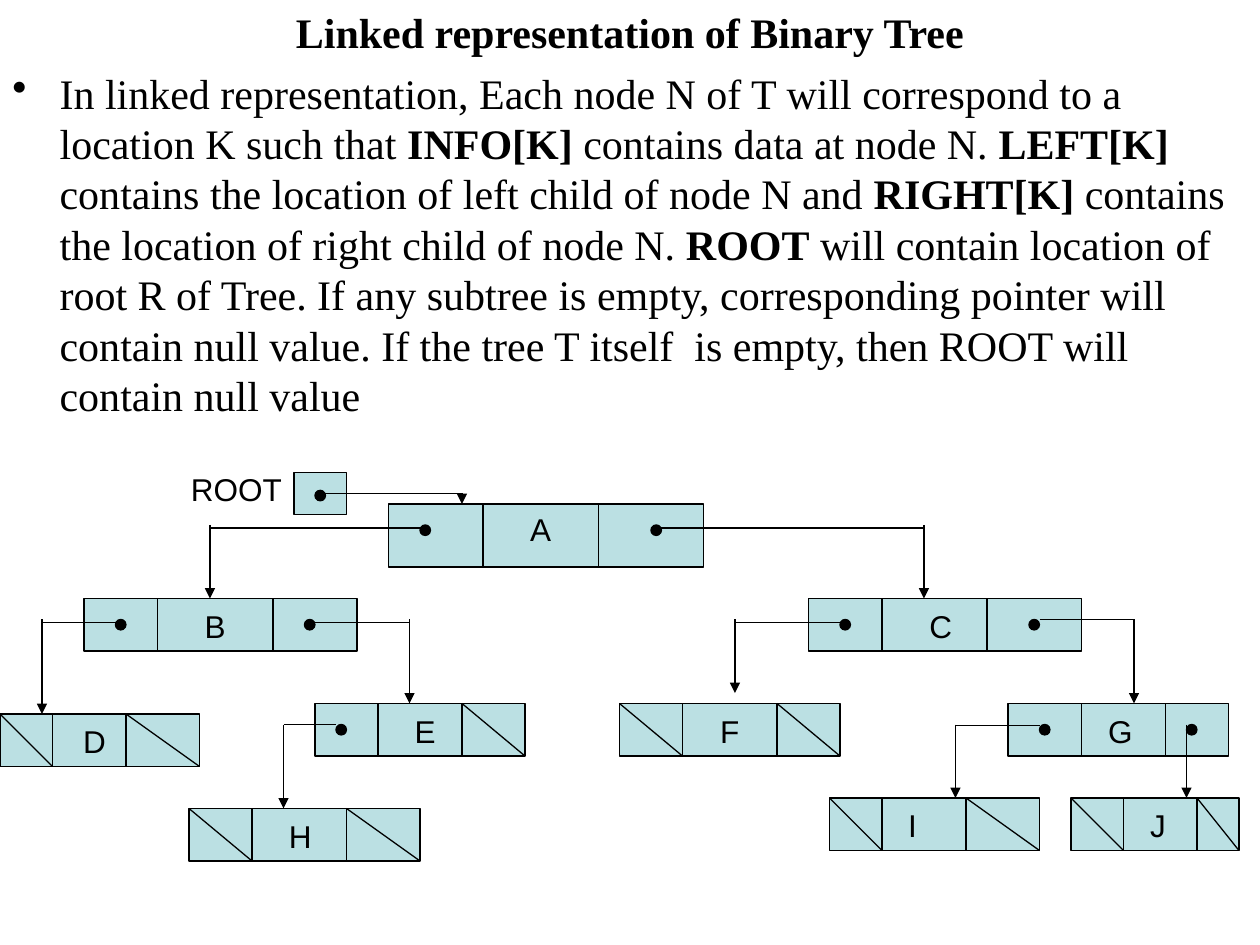
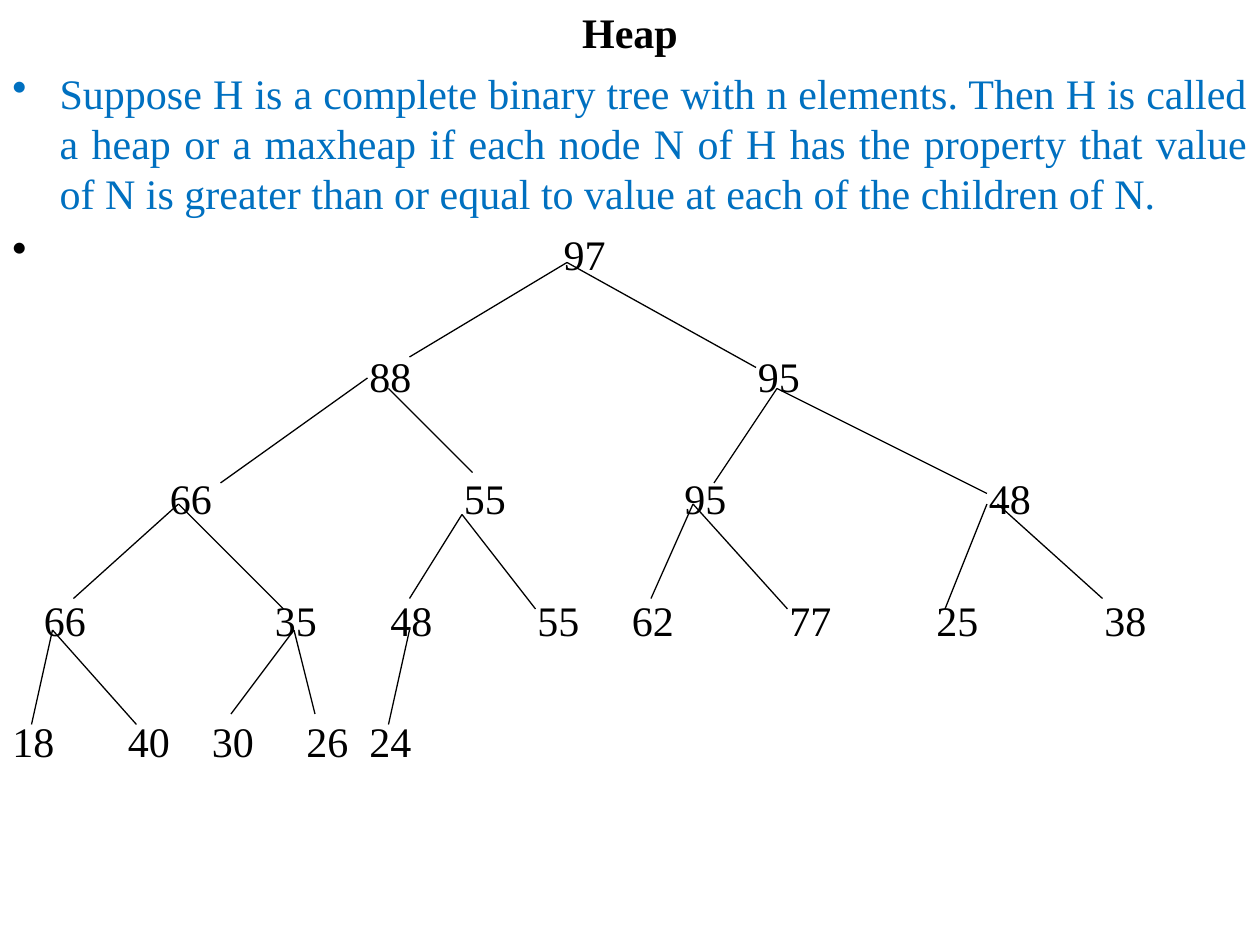
import pptx
import pptx.util
import pptx.dml.color
import pptx.enum.shapes
import pptx.enum.text
import pptx.oxml.ns
from dataclasses import dataclass
from lxml import etree

ALIGN = pptx.enum.text.PP_ALIGN
SHAPE = pptx.enum.shapes.MSO_SHAPE
EMU_PER_PX = 7620  # 120 px to the inch


@dataclass(frozen=True)
class Theme:
    ink: str = "000000"
    accent: str = "0070C0"
    cell: str = "BBE0E3"
    body_font: str = "Times New Roman"
    label_font: str = "Arial"
    body_size: int = 24
    label_size: int = 18
    line_width: float = 0.75
    leading: float = 1.2
    space_before: int = 6
    slide_width: int = 1200
    slide_height: int = 900
    hanging: int = 45
    dot: int = 10


THEME = Theme()

# letter, left, top, width, height, two dividers, label centre, label drop,
# left and right pointer dots (None draws a null slash)
NODES = [
    ("A", 370, 480, 300, 60, 460, 570, 515, 0, 400, 620),
    ("B", 80, 570, 260, 50, 150, 260, 205, 2, 110, 290),
    ("C", 770, 570, 260, 50, 840, 940, 896, 2, 800, 980),
    ("D", 0, 680, 190, 50, 50, 120, 90, 2, None, None),
    ("E", 300, 670, 200, 50, 360, 440, 405, 2, 320, None),
    ("F", 590, 670, 210, 50, 650, 740, 695, 2, None, None),
    ("G", 960, 670, 210, 50, 1030, 1110, 1067, 2, 990, 1130),
    ("H", 180, 770, 220, 50, 240, 330, 286, 2, None, None),
    ("I", 790, 760, 200, 50, 840, 920, 869, 2, None, None),
    ("J", 1020, 760, 160, 50, 1070, 1140, 1103, 2, None, None),
]

# start x, level of the horizontal part, turning x, arrow top, arrow end
POINTERS = [
    (300, 470, 440, 470, 480),
    (400, 503, 200, 500, 570), (620, 503, 880, 500, 570),
    (120, 593, 40, 590, 680), (300, 593, 390, 590, 670),
    (800, 593, 700, 590, 660), (990, 590, 1080, 590, 670),
    (320, 690, 270, 690, 770), (990, 691, 910, 690, 760),
]

DEFINITION = [
    ("In linked representation, Each node N of T will correspond to a location K such that ", False),
    ("INFO[K]", True),
    (" contains data at node N. ", False),
    ("LEFT[K]", True),
    (" contains the location of left child of node N and ", False),
    ("RIGHT[K]", True),
    (" contains the location of right child of node N. ", False),
    ("ROOT", True),
    (" will contain location of root R of Tree. If any subtree is empty, corresponding "
     "pointer will contain null value. If the tree T itself  is empty, then ROOT will "
     "contain null value", False),
]

HEAP_RULE = ("Suppose H is a complete binary tree with n elements. Then H is called a heap or a "
             "maxheap if each node N of H has the property that value of N is greater than or "
             "equal to value at each of the children of N.")

HEAP_ROOT = ("97", 525)
# each level maps the left edge of a value to the value
HEAP_LEVELS = [
    {340: "88", 710: "95"},
    {150: "66", 430: "55", 640: "95", 930: "48"},
    {30: "66", 250: "35", 360: "48", 500: "55", 590: "62", 740: "77", 880: "25", 1040: "38"},
    {0: "18", 110: "40", 190: "30", 280: "26", 340: "24"},
]
LEVEL_GAP = 40.8

# parent point, then the points of its children
HEAP_EDGES = [
    ((540, 250), [(390, 340), (720, 350)]),
    ((350, 360), [(210, 460)]),
    ((370, 370), [(450, 450)]),
    ((740, 370), [(680, 460), (940, 470)]),
    ((170, 480), [(70, 570), (270, 580)]),
    ((440, 490), [(390, 570), (510, 580)]),
    ((660, 480), [(620, 570), (750, 580)]),
    ((940, 480), [(900, 580)]),
    ((950, 480), [(1050, 570)]),
    ((50, 600), [(30, 690), (130, 690)]),
    ((280, 600), [(220, 680), (300, 680)]),
    ((390, 600), [(370, 690)]),
]


def px(length):
    return pptx.util.Emu(length * EMU_PER_PX)


def rgb(colour):
    return pptx.dml.color.RGBColor.from_string(colour)


def add_xml(parent, tag, **attributes):
    return etree.SubElement(parent, pptx.oxml.ns.qn(tag), attributes)


# --- lines and boxes ---

def add_line(slide, start, end, arrow=False):
    line = slide.shapes.add_connector(
        pptx.enum.shapes.MSO_CONNECTOR.STRAIGHT, *map(px, (*start, *end)))
    line.line.color.rgb = rgb(THEME.ink)
    line.line.width = pptx.util.Pt(THEME.line_width)
    if arrow:
        add_xml(line.line._get_or_add_ln(), "a:tailEnd", type="triangle")
    add_xml(line._element.spPr, "a:effectLst")


def add_outlined(slide, kind, left, top, width, height, fill):
    shape = slide.shapes.add_shape(kind, *map(px, (left, top, width, height)))
    shape.shadow.inherit = False
    shape.fill.solid()
    shape.fill.fore_color.rgb = rgb(fill)
    shape.line.color.rgb = rgb(THEME.ink)
    shape.line.width = pptx.util.Pt(THEME.line_width)


def add_dot(slide, left, top):
    add_outlined(slide, SHAPE.OVAL, left, top, THEME.dot, THEME.dot, THEME.ink)


# --- text ---

def format_paragraph(paragraph, font, size, align=ALIGN.LEFT, colour=THEME.ink, before=0):
    paragraph.alignment = align
    paragraph.line_spacing = pptx.util.Pt(size * THEME.leading)
    paragraph.space_before = pptx.util.Pt(before)
    for run in paragraph.runs:
        run.font.name = font
        run.font.size = pptx.util.Pt(size)
        run.font.color.rgb = rgb(colour)


def add_label(slide, text, left, top, width, align):
    label = slide.shapes.add_textbox(*map(px, (left, top, width, 48))).text_frame
    label.word_wrap = True
    label.text = text
    format_paragraph(label.paragraphs[0], THEME.label_font, THEME.label_size, align)


def add_body(slide, title):
    body = slide.shapes.add_textbox(
        0, 0, px(THEME.slide_width), px(THEME.slide_height)).text_frame
    body.word_wrap = True
    body.text = title
    heading = body.paragraphs[0]
    format_paragraph(heading, THEME.body_font, THEME.body_size, ALIGN.CENTER)
    heading.runs[0].font.bold = True
    return body


def add_bullet(body, pieces, align=ALIGN.LEFT, colour=THEME.ink, hanging=THEME.hanging):
    point = body.add_paragraph()
    properties = point._p.get_or_add_pPr()
    properties.set("marL", str(px(hanging)))
    properties.set("indent", str(-px(hanging)))
    add_xml(add_xml(properties, "a:buClr"), "a:srgbClr", val=colour)
    add_xml(properties, "a:buChar", char="•")
    for text, bold in pieces:
        run = point.add_run()
        run.text = text
        run.font.bold = bold
    format_paragraph(point, THEME.body_font, THEME.body_size, align, colour,
                     THEME.space_before)


def add_level(body, level):
    row = body.add_paragraph()
    tabs = add_xml(row._p.get_or_add_pPr(), "a:tabLst")
    for left in filter(None, level):
        add_xml(tabs, "a:tab", pos=str(px(left)), algn="l")
    row.text = "".join(("\t" if left else "") + value for left, value in level.items())
    format_paragraph(row, THEME.body_font, THEME.body_size, before=LEVEL_GAP)


# --- linked tree ---

def add_node(slide, letter, left, top, width, height, first, second,
             centre, drop, left_dot, right_dot):
    bottom = top + height
    add_outlined(slide, SHAPE.RECTANGLE, left, top, width, height, THEME.cell)
    for divider in (first, second):
        add_line(slide, (divider, top), (divider, bottom))
    for dot, start, end in ((left_dot, left, first), (right_dot, second, left + width)):
        if dot is None:
            add_line(slide, (start, top), (end, bottom))
        else:
            add_dot(slide, dot, top + 20)
    add_label(slide, letter, centre - 30, top + drop, 60, ALIGN.CENTER)


def add_pointer(slide, start, level, turn, top, end):
    add_line(slide, (start, level), (turn, level))
    add_line(slide, (turn, top), (turn, end), arrow=True)


def build_linked_tree(slide):
    body = add_body(slide, "Linked representation of Binary Tree")
    add_bullet(body, DEFINITION)
    for node in NODES:
        add_node(slide, *node)
    add_label(slide, "ROOT", 170, 442, 150, ALIGN.LEFT)
    add_outlined(slide, SHAPE.RECTANGLE, 280, 450, 50, 40, THEME.cell)
    add_dot(slide, 300, 467)
    for pointer in POINTERS:
        add_pointer(slide, *pointer)
    # right pointer of G drops straight to J
    add_line(slide, (1130, 690), (1130, 760), arrow=True)


# --- heap ---

def build_heap(slide):
    body = add_body(slide, "Heap")
    add_bullet(body, [(HEAP_RULE, False)], ALIGN.JUSTIFY, THEME.accent)
    root, root_left = HEAP_ROOT
    add_bullet(body, [(root, False)], hanging=root_left)
    for level in HEAP_LEVELS:
        add_level(body, level)
    for parent, children in HEAP_EDGES:
        for child in children:
            add_line(slide, parent, child)


def main():
    deck = pptx.Presentation()
    deck.slide_width = px(THEME.slide_width)
    deck.slide_height = px(THEME.slide_height)
    for build in (build_linked_tree, build_heap):
        build(deck.slides.add_slide(deck.slide_layouts[6]))
    deck.save("out.pptx")


if __name__ == "__main__":
    main()
